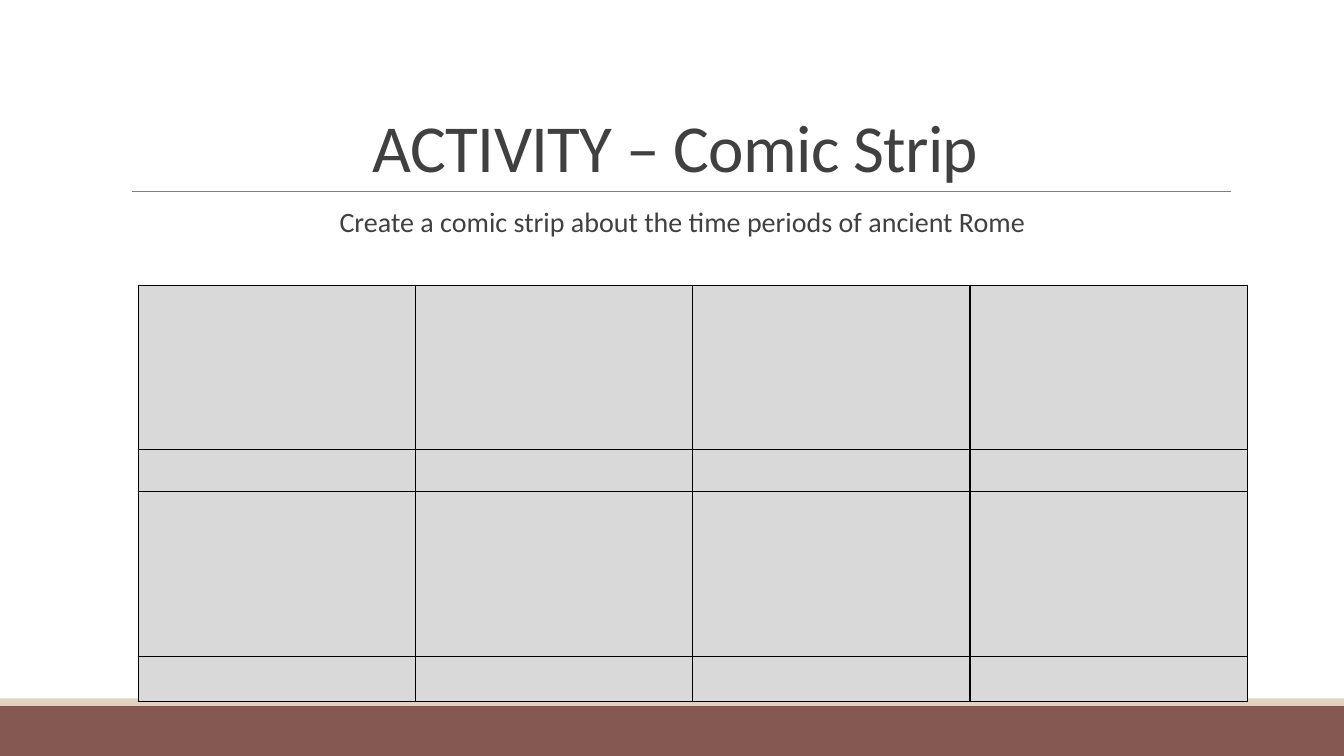
from dataclasses import dataclass

from lxml.etree import SubElement
from pptx import Presentation
from pptx.dml.color import RGBColor
from pptx.enum.shapes import MSO_CONNECTOR, MSO_SHAPE
from pptx.enum.text import MSO_ANCHOR, PP_ALIGN
from pptx.oxml.ns import qn
from pptx.slide import Slide
from pptx.table import _Cell
from pptx.text.text import _Paragraph, _Run
from pptx.util import Inches, Pt

FONT = "Calibri"
TEXT_COLOR = "404040"
SAND = "E1D2BF"
SLIDE_WIDTH = 13.33
CONTENT_LEFT = 1.2
CONTENT_WIDTH = 11
COLUMN_COUNT = 4
ROW_HEIGHTS = [1.63, 0.42, 1.63, 0.45]


@dataclass
class Band:
    top: float
    height: float
    color: str


FOOTER_BANDS = [Band(7, 0.5, "865852"), Band(6.93, 0.07, SAND)]


def color(value: str) -> RGBColor:
    return RGBColor.from_string(value)


def add_band(slide: Slide, band: Band) -> None:
    shape = slide.shapes.add_shape(
        MSO_SHAPE.RECTANGLE, 0, Inches(band.top), Inches(SLIDE_WIDTH), Inches(band.height)
    )
    shape.shadow.inherit = False
    shape.fill.solid()
    shape.fill.fore_color.rgb = color(band.color)
    shape.line.fill.background()


def add_rule(slide: Slide) -> None:
    rule = slide.shapes.add_connector(
        MSO_CONNECTOR.STRAIGHT, Inches(1.31), Inches(1.9), Inches(12.21), Inches(1.9)
    )
    rule.line.color.rgb = color("808080")
    rule.line.width = Pt(0.5)
    SubElement(rule._element.spPr, qn("a:effectLst"))


def add_run(paragraph: _Paragraph, text: str, size: float, line_spacing: float) -> _Run:
    paragraph.alignment = PP_ALIGN.CENTER
    paragraph.line_spacing = line_spacing
    run = paragraph.add_run()
    run.text = text
    run.font.name = FONT
    run.font.size = Pt(size)
    run.font.color.rgb = color(TEXT_COLOR)
    return run


def format_title(slide: Slide) -> None:
    title = slide.shapes.title
    title.left, title.top = Inches(CONTENT_LEFT), Inches(0.31)
    title.width, title.height = Inches(CONTENT_WIDTH), Inches(1.59)
    title.text_frame.vertical_anchor = MSO_ANCHOR.BOTTOM
    run = add_run(title.text_frame.paragraphs[0], "ACTIVITY – Comic Strip", 48, 0.85)
    run.font._element.set("spc", "-50")


def add_instruction(slide: Slide) -> None:
    box = slide.shapes.add_textbox(
        Inches(CONTENT_LEFT), Inches(2.02), Inches(CONTENT_WIDTH), Inches(0.6)
    )
    frame = box.text_frame
    frame.word_wrap = True
    frame.margin_left = frame.margin_right = 0
    paragraph = frame.paragraphs[0]
    properties = paragraph._p.get_or_add_pPr()
    properties.set("marL", str(Inches(0.1)))
    properties.set("indent", str(Inches(-0.1)))
    bullet_color = SubElement(properties, qn("a:buClr"))
    SubElement(bullet_color, qn("a:srgbClr"), val=SAND)
    SubElement(properties, qn("a:buChar"), char=" ")
    paragraph.space_after = Pt(2)
    add_run(paragraph, "Create a comic strip about the time periods of ancient Rome", 20, 0.9)


def format_panel(cell: _Cell) -> None:
    properties = cell._tc.get_or_add_tcPr()
    for side in ("L", "R", "T", "B"):
        border = SubElement(properties, qn(f"a:ln{side}"), w=str(Pt(1)))
        fill = SubElement(border, qn("a:solidFill"))
        SubElement(fill, qn("a:srgbClr"), val="000000")
    cell.fill.solid()
    cell.fill.fore_color.rgb = color("D9D9D9")


def add_comic_strip(slide: Slide) -> None:
    table = slide.shapes.add_table(
        len(ROW_HEIGHTS), COLUMN_COUNT, Inches(1.37), Inches(2.83),
        Inches(CONTENT_WIDTH), Inches(sum(ROW_HEIGHTS))
    ).table
    for row, height in zip(table.rows, ROW_HEIGHTS):
        row.height = Inches(height)
    for cell in table.iter_cells():
        format_panel(cell)


def main() -> None:
    presentation = Presentation()
    presentation.slide_width = Inches(SLIDE_WIDTH)
    presentation.slide_height = Inches(7.5)
    slide = presentation.slides.add_slide(presentation.slide_layouts[5])
    for band in FOOTER_BANDS:
        add_band(slide, band)
    add_rule(slide)
    format_title(slide)
    add_instruction(slide)
    add_comic_strip(slide)
    presentation.save("out.pptx")


if __name__ == "__main__":
    main()
